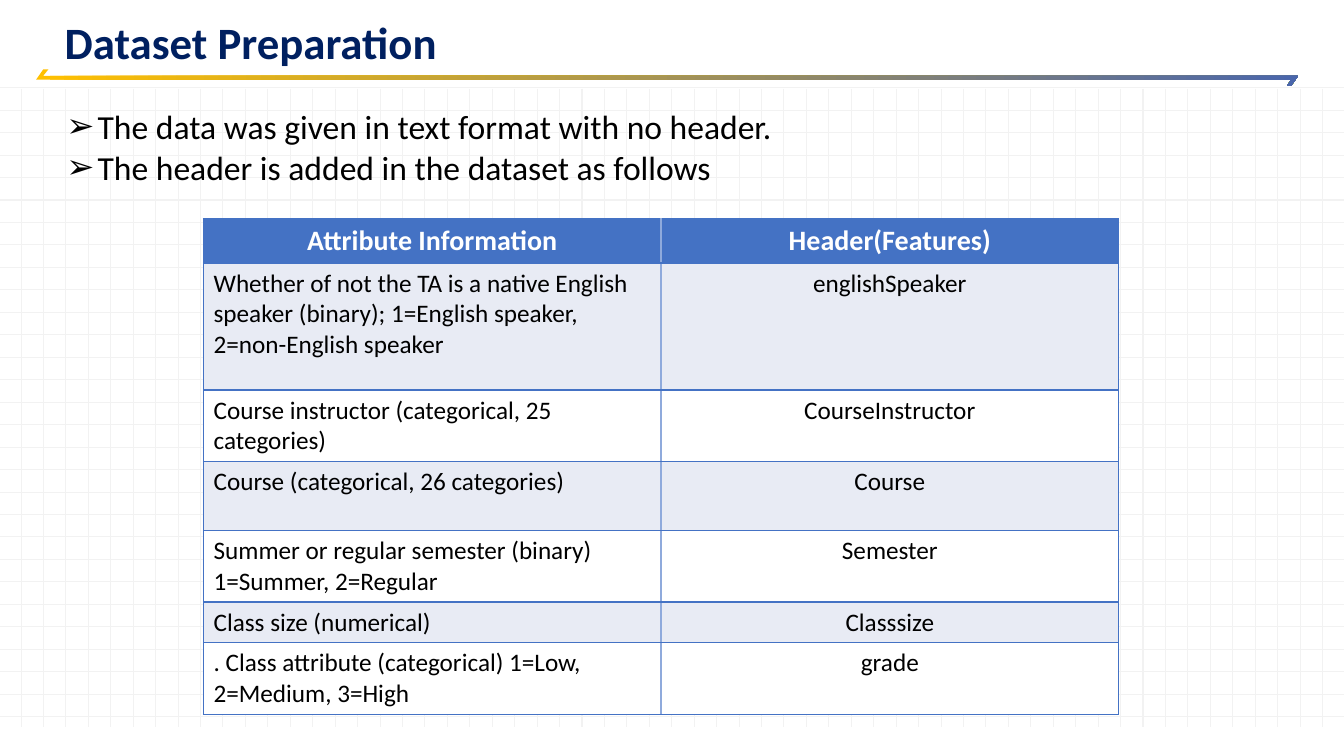
from dataclasses import dataclass

from lxml.etree import SubElement
from pptx import Presentation
from pptx.dml.color import RGBColor
from pptx.enum.shapes import MSO_CONNECTOR as Connector
from pptx.enum.text import MSO_ANCHOR as Anchor, MSO_AUTO_SIZE as AutoSize, PP_ALIGN as Align
from pptx.oxml.ns import qn
from pptx.util import Cm, Pt


@dataclass(frozen=True)
class Theme:
    """Colours, font and type sizes of the slide."""
    font: str = "Calibri"
    title: str = "002060"
    ink: str = "000000"
    paper: str = "FFFFFF"
    grid: str = "F2F2F2"
    ribbon_start: str = "FFC000"
    ribbon_end: str = "4A66AC"
    accent: str = "4472C4"
    divider: str = "8FAADC"
    band: str = "E8EBF4"
    title_size: int = 32
    body_size: int = 24
    header_size: int = 20
    cell_size: int = 18


THEME = Theme()
SLIDE_WIDTH, SLIDE_HEIGHT = 33.87, 19.05
GRID_TOP, GRID_BOTTOM = 2.24, 18.31
RIBBON = [(1.09, 1.75), (1.22, 1.75), (1.09, 1.91), (32.72, 1.91), (32.54, 2.16),
          (32.44, 2.16), (32.54, 2.01), (0.91, 2.01)]
POINTS = ["The data was given in text format with no header.",
          "The header is added in the dataset as follows"]
FEATURES = [
    ("Attribute Information", "Header(Features)", 1.07),
    ("Whether of not the TA is a native English speaker (binary); "
     "1=English speaker, 2=non-English speaker", "englishSpeaker", 3.2),
    ("Course instructor (categorical, 25 categories)", "CourseInstructor", 1.73),
    ("Course (categorical, 26 categories)", "Course", 1.73),
    ("Summer or regular semester (binary) 1=Summer, 2=Regular", "Semester", 1.73),
    ("Class size (numerical)", "Classsize", 0.99),
    (". Class attribute (categorical) 1=Low, 2=Medium, 3=High", "grade", 1.73),
]


def rgb(code):
    """Turn a hex code into a colour."""
    return RGBColor.from_string(code)


def spread(first, last, count):
    """Return evenly spaced positions from first to last."""
    return [first + (last - first) * i / (count - 1) for i in range(count)]


def write(frame, lines, size, color=THEME.ink, bold=False, align=Align.LEFT,
          spacing=1.0, bullet=None):
    """Write one formatted paragraph per line into a text frame."""
    for index, line in enumerate(lines):
        paragraph = frame.add_paragraph() if index else frame.paragraphs[0]
        paragraph.alignment = align
        paragraph.line_spacing = spacing
        paragraph.space_before = paragraph.space_after = Pt(0)
        if bullet:
            add_bullet(paragraph, bullet, color)
        run = paragraph.add_run()
        run.text = line
        run.font.name = THEME.font
        run.font.size = Pt(size)
        run.font.bold = bold
        run.font.color.rgb = rgb(color)


def add_bullet(paragraph, mark, color):
    """Give a paragraph a hanging bullet."""
    props = paragraph._p.get_or_add_pPr()
    props.set("marL", str(Cm(0.79)))
    props.set("indent", str(-Cm(0.79)))
    SubElement(SubElement(props, qn("a:buClr")), qn("a:srgbClr"), val=color)
    SubElement(props, qn("a:buFont"), typeface=THEME.font)
    SubElement(props, qn("a:buChar"), char=mark)


def place(slide, holder, left, top, width, height, anchor, inset=0.25):
    """Move a placeholder to the front at a position and return its text frame."""
    holder.left, holder.top = Cm(left), Cm(top)
    holder.width, holder.height = Cm(width), Cm(height)
    slide.shapes._spTree.append(holder.element)
    frame = holder.text_frame
    frame.word_wrap = True
    frame.auto_size = AutoSize.NONE
    frame.vertical_anchor = anchor
    frame.margin_left, frame.margin_right = Cm(inset), Cm(0.25)
    frame.margin_top = frame.margin_bottom = Cm(0.13)
    return frame


def add_grid_line(slide, x1, y1, x2, y2):
    """Draw one pale line of the background grid."""
    rule = slide.shapes.add_connector(Connector.STRAIGHT, Cm(x1), Cm(y1), Cm(x2), Cm(y2))
    rule.line.color.rgb = rgb(THEME.grid)
    rule.line.width = Pt(0.75)
    SubElement(rule.element.spPr, qn("a:effectLst"))


def add_grid(slide):
    """Draw the squared-paper background."""
    for x in spread(0.53, 33.33, 59):
        add_grid_line(slide, x, GRID_TOP, x, GRID_BOTTOM)
    for y in spread(2.21, 18.06, 29):
        add_grid_line(slide, SLIDE_WIDTH, y, 0, y)


def add_ribbon(slide):
    """Draw the gradient ribbon under the title."""
    corners = [(Cm(x), Cm(y)) for x, y in RIBBON]
    builder = slide.shapes.build_freeform(*corners[0])
    builder.add_line_segments(corners[1:], close=True)
    ribbon = builder.convert_to_shape()
    ribbon.shadow.inherit = False
    ribbon.line.fill.background()
    ribbon.fill.gradient()
    ribbon.fill.gradient_angle = 0
    for stop, color in zip(ribbon.fill.gradient_stops, (THEME.ribbon_start, THEME.ribbon_end)):
        stop.color.rgb = rgb(color)


def add_borders(cell, **sides):
    """Draw the borders of a cell in the colours given by side."""
    props = cell._tc.get_or_add_tcPr()
    for side, color in sides.items():
        border = SubElement(props, qn(f"a:ln{side}"), w=str(Pt(0.96)))
        SubElement(SubElement(border, qn("a:solidFill")), qn("a:srgbClr"), val=color)


def add_feature_table(slide):
    """Add the table that pairs attributes with header names."""
    table = slide.shapes.add_table(len(FEATURES), 2, Cm(5.13), Cm(5.51),
                                   Cm(23.06), Cm(12.18)).table
    edge, divider = THEME.accent, THEME.divider
    for row, (attribute, feature, height) in enumerate(FEATURES):
        table.rows[row].height = Cm(height)
        header = row == 0
        fill = THEME.accent if header else THEME.band if row % 2 else THEME.paper
        for column, content in enumerate((attribute, feature)):
            cell = table.cell(row, column)
            add_borders(cell, L=divider if column else edge, R=edge if column else divider,
                        T=edge, B=edge)
            cell.fill.solid()
            cell.fill.fore_color.rgb = rgb(fill)
            write(cell.text_frame, [content], bold=header,
                  size=THEME.header_size if header else THEME.cell_size,
                  color=THEME.paper if header else THEME.ink,
                  align=Align.CENTER if header or column else Align.LEFT)


def main():
    """Build the slide and save it."""
    deck = Presentation()
    deck.slide_width, deck.slide_height = Cm(SLIDE_WIDTH), Cm(SLIDE_HEIGHT)
    slide = deck.slides.add_slide(deck.slide_layouts[1])
    heading, summary = slide.shapes.title, slide.placeholders[1]
    add_grid(slide)
    add_ribbon(slide)
    write(place(slide, heading, 1.12, 0, 31.6, 1.88, Anchor.BOTTOM, inset=0.51),
          ["Dataset Preparation"], size=THEME.title_size, color=THEME.title,
          bold=True, spacing=0.9)
    write(place(slide, summary, 1.42, 2.44, 18.92, 2.51, Anchor.MIDDLE),
          POINTS, size=THEME.body_size, bullet="➢")
    add_feature_table(slide)
    deck.save("out.pptx")


if __name__ == "__main__":
    main()
